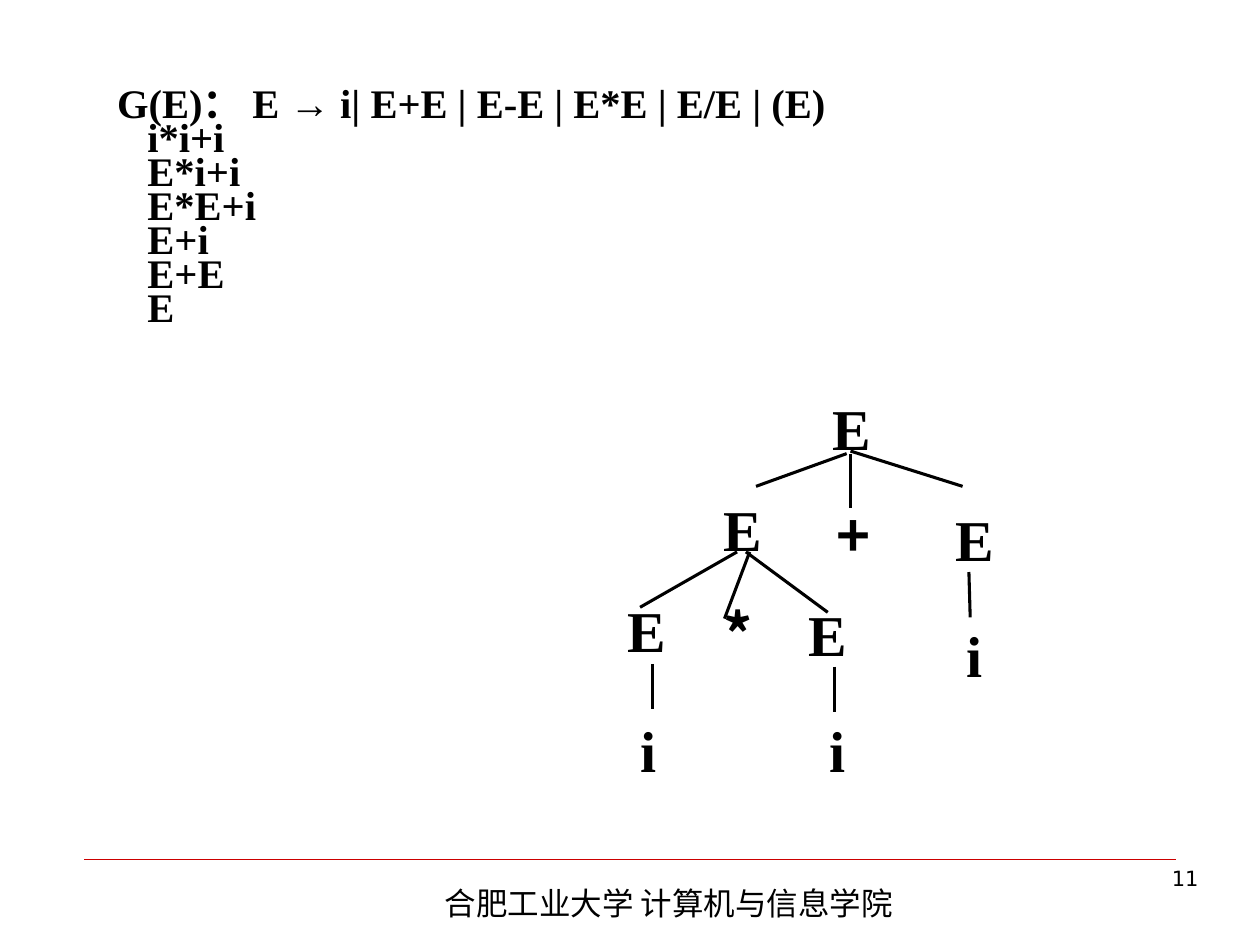
from pptx import Presentation
from pptx.dml.color import RGBColor
from pptx.enum.shapes import MSO_CONNECTOR
from pptx.enum.text import MSO_ANCHOR, MSO_AUTO_SIZE, PP_ALIGN
from pptx.oxml.ns import qn
from pptx.util import Inches, Pt
from lxml.etree import SubElement

SERIF = "Times New Roman"
CJK = "Noto Sans CJK SC"

# Parse tree: label, left, top, width
TREE_NODES = [
    ("E", 6.61, 3.12, 0.31),
    ("E", 5.74, 3.92, 0.31),
    ("+", 6.64, 3.97, 0.28),
    ("E", 7.58, 4.0, 0.31),
    ("E", 4.98, 4.72, 0.31),
    ("*", 5.74, 4.75, 0.25),
    ("E", 6.42, 4.75, 0.31),
    ("i", 7.67, 4.92, 0.13),
    ("i", 5.08, 5.67, 0.13),
    ("i", 6.58, 5.67, 0.13),
]
# Branches: x and y of the parent end, then of the child end
TREE_BRANCHES = [
    (6.72, 3.6, 6.0, 3.86),
    (6.75, 3.6, 6.75, 4.03),
    (6.75, 3.58, 7.64, 3.86),
    (5.85, 4.38, 5.08, 4.82),
    (5.95, 4.38, 5.75, 4.91),
    (5.92, 4.38, 6.57, 4.86),
    (7.69, 4.54, 7.7, 4.9),
    (5.18, 5.27, 5.18, 5.63),
    (6.62, 5.29, 6.62, 5.65),
]
REDUCTION_STEPS = ["i*i+i", "E*i+i", "E*E+i", "E+i", "E+E", "E"]


def color(hex_string):
    return RGBColor.from_string(hex_string)


def add_text(paragraph, text, font=SERIF, size=33, bold=False, fill="000000"):
    run = paragraph.add_run()
    run.text = text
    run.font.name = font
    run.font.size = Pt(size)
    run.font.bold = bold
    run.font.color.rgb = color(fill)
    east_asian = SubElement(run.font._element, qn("a:ea"))
    east_asian.set("typeface", CJK)


def add_label(slide, text, box, inset=(0, 0), wrap=True, align=PP_ALIGN.LEFT, **style):
    label = slide.shapes.add_textbox(*map(Inches, box))
    frame = label.text_frame
    frame.word_wrap = wrap
    frame.margin_left = frame.margin_right = Inches(inset[0])
    frame.margin_top = frame.margin_bottom = Inches(inset[1])
    paragraph = frame.paragraphs[0]
    paragraph.alignment = align
    add_text(paragraph, text, **style)


def add_line(slide, ends, width=1.75, stroke="000000"):
    line = slide.shapes.add_connector(MSO_CONNECTOR.STRAIGHT, *map(Inches, ends))
    line.line.width = Pt(width)
    line.line.color.rgb = color(stroke)
    SubElement(line._element.spPr, qn("a:effectLst"))


def format_step(paragraph, indent):
    properties = paragraph._p.get_or_add_pPr()
    properties.set("marL", str(Inches(indent)))
    properties.set("indent", "0")
    SubElement(properties, qn("a:buNone"))
    paragraph.line_spacing = 0.7
    paragraph.space_before = Pt(0)


def add_derivation(slide):
    body = slide.placeholders[1]
    body.left, body.top, body.width, body.height = map(Inches, (0.83, 0.67, 8.42, 2.08))
    frame = body.text_frame
    frame.auto_size = MSO_AUTO_SIZE.NONE
    frame.vertical_anchor = MSO_ANCHOR.TOP

    # Grammar
    grammar = frame.paragraphs[0]
    format_step(grammar, 0)
    for text, font in [("G(E)： E ", SERIF), ("→", "Arial"),
                       (" i| E+E | E-E | E*E | E/E | (E)", SERIF)]:
        add_text(grammar, text, font=font, size=23.2, bold=True)

    # Reduction, one sentential form a line
    for step in REDUCTION_STEPS:
        paragraph = frame.add_paragraph()
        format_step(paragraph, 0.24)
        add_text(paragraph, step, size=23.2, bold=True)


def add_tree(slide):
    for branch in TREE_BRANCHES:
        add_line(slide, branch)
    for symbol, left, top, width in TREE_NODES:
        font = SERIF if symbol.isalpha() else CJK
        add_label(slide, symbol, (left, top, width, 0.55), wrap=False, font=font, bold=True)


def add_footer(slide):
    add_line(slide, (0.67, 6.82, 9.33, 6.82), width=0.25, stroke="CC0000")
    add_label(slide, "合肥工业大学 计算机与信息学院", (3.43, 6.97, 4.8, 0.4),
              inset=(0.1, 0.05), font=CJK, size=18)
    add_label(slide, "11", (7.44, 6.82, 2.17, 0.52), inset=(0.1, 0.05),
              align=PP_ALIGN.RIGHT, font="DejaVu Sans", size=12)


def main():
    deck = Presentation()
    deck.slide_width, deck.slide_height = Inches(10), Inches(7.5)
    slide = deck.slides.add_slide(deck.slide_layouts[1])
    # The slide has no title
    title = slide.shapes.title._element
    title.getparent().remove(title)
    add_footer(slide)
    add_derivation(slide)
    add_tree(slide)
    deck.save("out.pptx")


if __name__ == "__main__":
    main()
